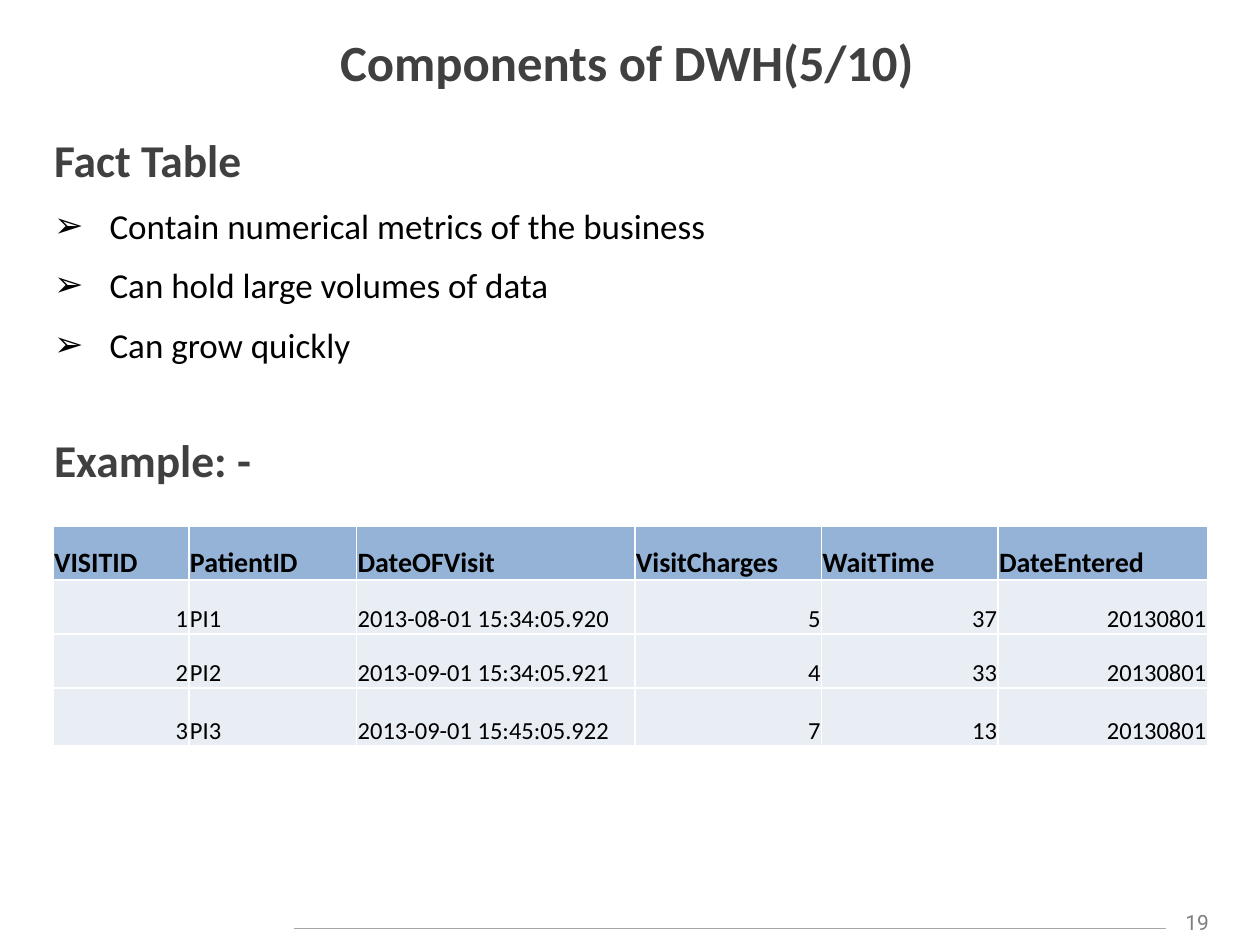
from lxml import etree
from pptx import Presentation
from pptx import util as u
from pptx.dml.color import RGBColor
from pptx.enum import shapes, text
from pptx.oxml import ns

HEADING = "404040"
BLACK = "000000"
WHITE = "FFFFFF"
HEADER_FILL = "95B3D7"
BODY_FILL = "E9EDF4"

COLUMN_WIDTHS = [2.74, 3.38, 5.61, 3.76, 3.56, 4.22]
ROW_HEIGHTS = [1.09, 1.09, 1.09, 1.17]
RIGHT_COLUMNS = {0, 3, 4, 5}
VISITS = [
    ["VISITID", "PatientID", "DateOFVisit", "VisitCharges", "WaitTime", "DateEntered"],
    ["1", "PI1", "2013-08-01 15:34:05.920", "5", "37", "20130801"],
    ["2", "PI2", "2013-09-01 15:34:05.921", "4", "33", "20130801"],
    ["3", "PI3", "2013-09-01 15:45:05.922", "7", "13", "20130801"],
]


def color(hex_code):
    return RGBColor.from_string(hex_code)


def sub(parent, tag, **attributes):
    return etree.SubElement(parent, ns.qn(tag), attributes)


def add_bullet(para, symbol, indent):
    properties = para._p.get_or_add_pPr()
    properties.set("marL", str(indent))
    properties.set("indent", str(-indent))
    sub(properties, "a:buFont", typeface="Arial")
    sub(properties, "a:buChar", char=symbol)


def write(para, content, size=20, hex_code=BLACK, bold=False, font="Calibri",
          align=text.PP_ALIGN.LEFT, before=0, bullet=None):
    para.alignment = align
    para.space_before = u.Pt(before)
    if bullet:
        add_bullet(para, bullet, u.Cm(1.12))
    span = para.add_run()
    span.text = content
    span.font.name = font
    span.font.size = u.Pt(size)
    span.font.bold = bold
    span.font.color.rgb = color(hex_code)


def add_box(page, left, top, width, height, anchor=text.MSO_ANCHOR.TOP):
    box = page.shapes.add_textbox(u.Cm(left), u.Cm(top), u.Cm(width), u.Cm(height))
    frame = box.text_frame
    frame.word_wrap = True
    frame.vertical_anchor = anchor
    return frame


def add_rule(page, left, right, y):
    rule = page.shapes.add_connector(
        shapes.MSO_CONNECTOR.STRAIGHT, u.Cm(left), u.Cm(y), u.Cm(right), u.Cm(y))
    rule.line.color.rgb = color("A6A6A6")
    rule.line.width = u.Pt(0.75)
    sub(rule._element.spPr, "a:effectLst")


def style_cell(cell, fill):
    cell.vertical_anchor = text.MSO_ANCHOR.BOTTOM
    cell.margin_left = cell.margin_right = cell.margin_top = u.Cm(0.02)
    cell.margin_bottom = 0
    properties = cell._tc.get_or_add_tcPr()
    for side in ("a:lnL", "a:lnR", "a:lnT", "a:lnB"):
        border = sub(properties, side, w=str(u.Pt(1)))
        sub(sub(border, "a:solidFill"), "a:srgbClr", val=WHITE)
    cell.fill.solid()
    cell.fill.fore_color.rgb = color(fill)


def add_visit_table(page, left, top):
    table = page.shapes.add_table(
        len(VISITS), len(COLUMN_WIDTHS), u.Cm(left), u.Cm(top),
        u.Cm(sum(COLUMN_WIDTHS)), u.Cm(sum(ROW_HEIGHTS))).table
    for column, width in zip(table.columns, COLUMN_WIDTHS):
        column.width = u.Cm(width)
    for r, (row, height) in enumerate(zip(table.rows, ROW_HEIGHTS)):
        row.height = u.Cm(height)
        header = r == 0
        for c, value in enumerate(VISITS[r]):
            cell = table.cell(r, c)
            style_cell(cell, HEADER_FILL if header else BODY_FILL)
            to_right = c in RIGHT_COLUMNS and not header
            write(cell.text_frame.paragraphs[0], value,
                  size=16 if header else 14, bold=header,
                  align=text.PP_ALIGN.RIGHT if to_right else text.PP_ALIGN.LEFT)


def main():
    deck = Presentation()
    deck.slide_width, deck.slide_height = u.Cm(25.4), u.Cm(19.05)
    page = deck.slides.add_slide(deck.slide_layouts[6])

    # Footer rule and page number
    number = add_box(page, 23.5, 18.21, 1.27, 0.76)
    write(number.paragraphs[0], "19", size=12, hex_code="808080", font="Roboto",
          align=text.PP_ALIGN.CENTER)
    add_rule(page, 5.92, 23.5, 18.72)

    # Title
    title = add_box(page, 0.76, 0.43, 23.77, 1.6, text.MSO_ANCHOR.MIDDLE)
    write(title.paragraphs[0], "Components of DWH(5/10)", size=29, hex_code=HEADING,
          bold=True, align=text.PP_ALIGN.CENTER)

    # Headings and bullet points
    body = add_box(page, 0.84, 2.54, 23.7, 14.17)
    heading = dict(size=26, hex_code=HEADING, bold=True)
    write(body.paragraphs[0], "Fact Table", **heading)
    for point in ("Contain numerical metrics of the business",
                  "Can hold large volumes of data",
                  "Can grow quickly"):
        write(body.add_paragraph(), point, before=10, bullet="➢")
    write(body.add_paragraph(), "Example: -", before=38, **heading)

    # Example fact table
    add_visit_table(page, 1.07, 10.6)

    deck.save("out.pptx")


if __name__ == "__main__":
    main()
